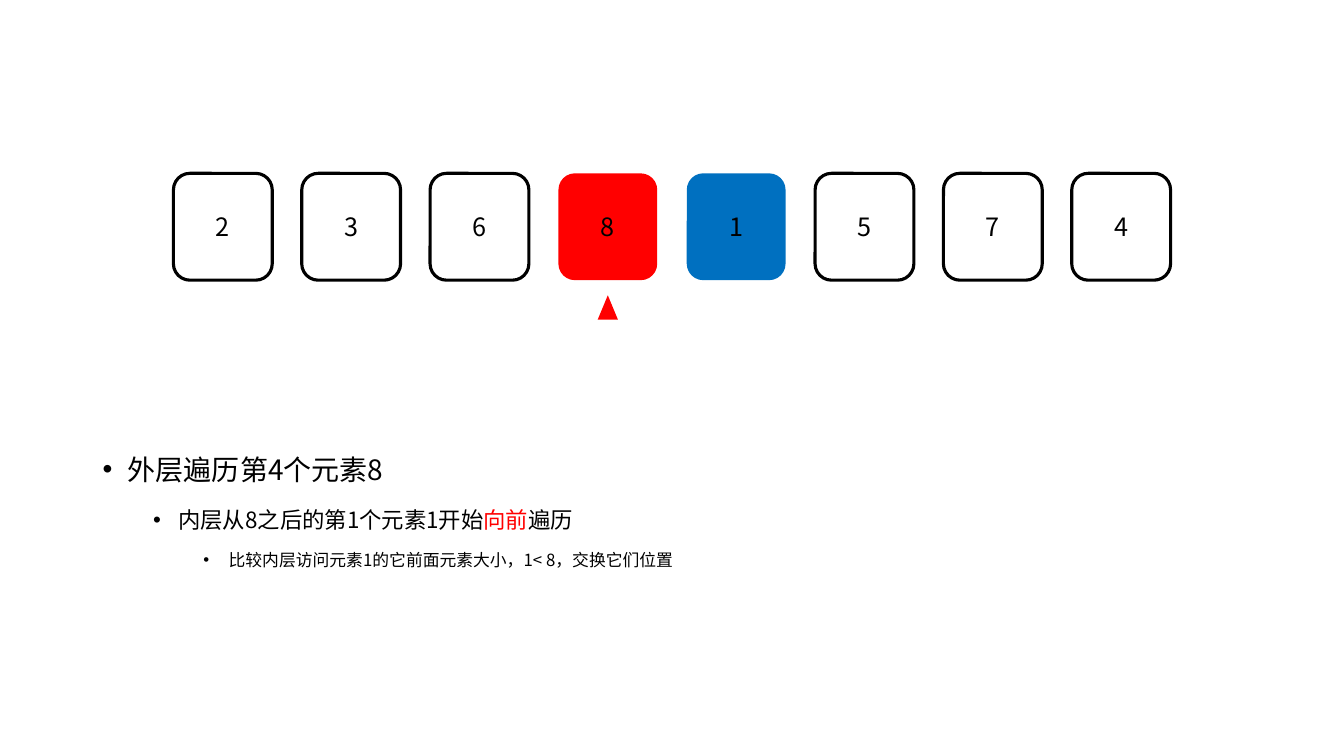
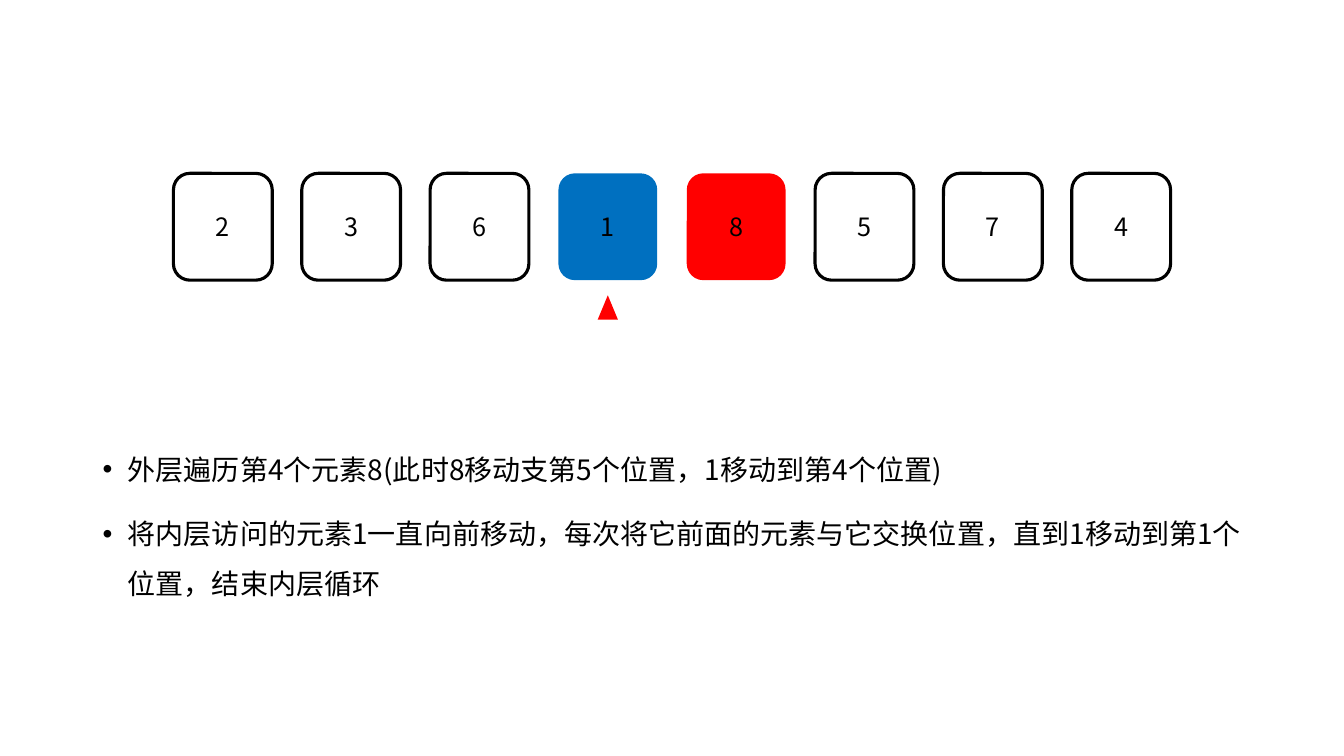
from lxml.etree import SubElement
from pptx import Presentation
from pptx.dml.color import RGBColor
from pptx.enum.shapes import MSO_SHAPE
from pptx.enum.text import MSO_ANCHOR, PP_ALIGN
from pptx.oxml.ns import qn
from pptx.util import Inches, Pt

BLACK = "000000"
RED = "FF0000"
BLUE = "0070C0"
FONT = "Noto Sans CJK SC"
CELL_LEFT, CELL_TOP = 1.72, 1.72
CELL_WIDTH, CELL_HEIGHT = 0.98, 1.06
CELL_STEP = 8.91 / 7
LEVEL_SIZES = (20, 16, 12)
LEVEL_SPACING = (10, 5, 5)


def color(value):
    return RGBColor.from_string(value)


class SortingDeck:
    def __init__(self):
        self.deck = Presentation()
        self.deck.slide_width = Inches(13.33)
        self.deck.slide_height = Inches(7.5)
        self.page = None

    def add_page(self):
        self.page = self.deck.slides.add_slide(self.deck.slide_layouts[6])

    def add_span(self, para, text, size, ink=BLACK):
        span = para.add_run()
        span.text = text
        span.font.size = Pt(size)
        span.font.name = FONT
        span.font.color.rgb = color(ink)
        SubElement(span.font._element, qn("a:ea")).set("typeface", FONT)

    def add_figure(self, kind, left, top, width, height, fill=None):
        figure = self.page.shapes.add_shape(
            kind, Inches(left), Inches(top), Inches(width), Inches(height))
        figure.shadow.inherit = False
        if fill:
            figure.fill.solid()
            figure.fill.fore_color.rgb = color(fill)
            figure.line.fill.background()
        else:
            figure.fill.background()
            figure.line.color.rgb = color(BLACK)
            figure.line.width = Pt(2.25)
        return figure

    def add_array(self, values, fills):
        for index, value in enumerate(values):
            cell = self.add_figure(
                MSO_SHAPE.ROUNDED_RECTANGLE, CELL_LEFT + index * CELL_STEP,
                CELL_TOP, CELL_WIDTH, CELL_HEIGHT, fills.get(value))
            frame = cell.text_frame
            frame.vertical_anchor = MSO_ANCHOR.MIDDLE
            para = frame.paragraphs[0]
            para.alignment = PP_ALIGN.CENTER
            self.add_span(para, str(value), 18)

    def add_pointer(self, index):
        width = 0.2
        left = CELL_LEFT + index * CELL_STEP + (CELL_WIDTH - width) / 2
        self.add_figure(MSO_SHAPE.ISOSCELES_TRIANGLE, left, 2.93, width, 0.24, RED)

    def add_bullets(self, items):
        box = self.page.shapes.add_textbox(
            Inches(0.92), Inches(4.27), Inches(11.5), Inches(2.79))
        frame = box.text_frame
        frame.word_wrap = True
        for number, (level, spans) in enumerate(items):
            para = frame.add_paragraph() if number else frame.paragraphs[0]
            para.level = level
            para.line_spacing = 1.5
            para.space_before = Pt(LEVEL_SPACING[level] if number else 0)
            properties = para._p.get_or_add_pPr()
            properties.set("marL", str(Inches(0.25 + 0.5 * level)))
            properties.set("indent", str(Inches(-0.25)))
            SubElement(properties, qn("a:buFont")).set("typeface", "Arial")
            SubElement(properties, qn("a:buChar")).set("char", "•")
            for text, ink in spans:
                self.add_span(para, text, LEVEL_SIZES[level], ink)

    def add_step(self, values, items):
        self.add_page()
        self.add_array(values, {8: RED, 1: BLUE})
        self.add_pointer(3)
        self.add_bullets(items)

    def save(self):
        self.deck.save("out.pptx")


def main():
    sorting = SortingDeck()
    sorting.add_step((2, 3, 6, 8, 1, 5, 7, 4), [
        (0, [("外层遍历第4个元素8", BLACK)]),
        (1, [("内层从8之后的第1个元素1开始", BLACK), ("向前", RED), ("遍历", BLACK)]),
        (2, [("比较内层访问元素1的它前面元素大小，1< 8，交换它们位置", BLACK)]),
    ])
    sorting.add_step((2, 3, 6, 1, 8, 5, 7, 4), [
        (0, [("外层遍历第4个元素8(此时8移动支第5个位置，1移动到第4个位置)", BLACK)]),
        (0, [("将内层访问的元素1一直向前移动，每次将它前面的元素与它交换位置，"
              "直到1移动到第1个位置，结束内层循环", BLACK)]),
    ])
    sorting.save()


if __name__ == "__main__":
    main()
